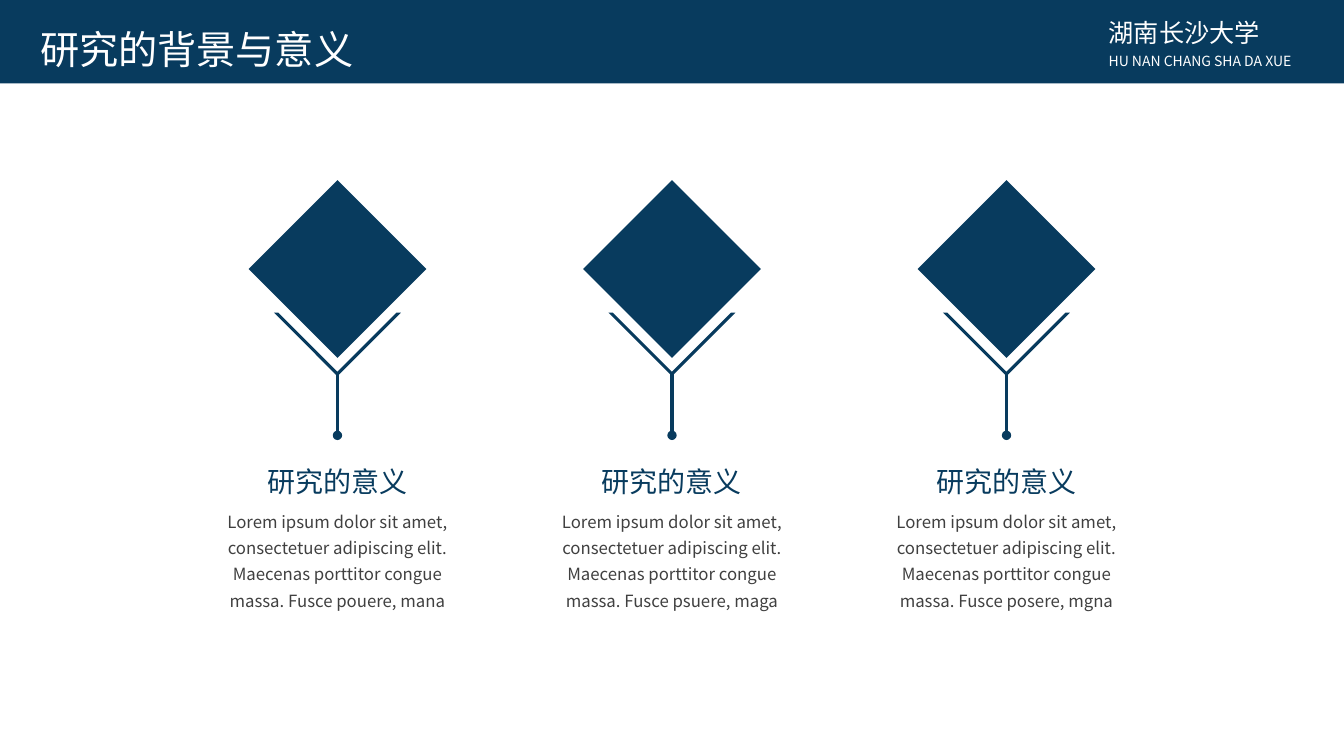
from dataclasses import dataclass

from lxml import etree
from pptx import Presentation
from pptx.dml.color import RGBColor
from pptx.enum.shapes import MSO_CONNECTOR, MSO_SHAPE
from pptx.enum.text import MSO_AUTO_SIZE, PP_ALIGN
from pptx.oxml.ns import qn
from pptx.util import Cm, Pt

RECT, DIAMOND = MSO_SHAPE.RECTANGLE, MSO_SHAPE.DIAMOND
STRAIGHT = MSO_CONNECTOR.STRAIGHT
LEFT, CENTER = PP_ALIGN.LEFT, PP_ALIGN.CENTER
GROW = MSO_AUTO_SIZE.SHAPE_TO_FIT_TEXT


@dataclass(frozen=True)
class Theme:
    navy: RGBColor = RGBColor(0x08, 0x3B, 0x5E)
    white: RGBColor = RGBColor(0xFF, 0xFF, 0xFF)
    grey: RGBColor = RGBColor(0x40, 0x40, 0x40)
    heading_font: str = "Noto Sans CJK JP"
    body_font: str = "Noto Sans CJK SC"
    title: float = 28
    heading: float = 20
    school: float = 18
    body: float = 12
    caption: float = 10
    stem: float = 2.25


@dataclass(frozen=True)
class Topic:
    heading: str
    body: str


THEME = Theme()
WIDTH, HEIGHT = 33.87, 19.05
PITCH = 8.43  # distance between topic centres
LOREM = ("Lorem ipsum dolor sit amet, consectetuer adipiscing elit. "
         "Maecenas porttitor congue massa. Fusce ")
TOPICS = [Topic("研究的意义", LOREM + ending)
          for ending in ("pouere, mana", "psuere, maga", "posere, mgna")]


def paint(sp) -> None:
    sp.shadow.inherit = False
    sp.fill.solid()
    sp.fill.fore_color.rgb = THEME.navy
    sp.line.fill.background()


def add_block(s, kind, x: float, y: float, w: float, h: float) -> None:
    paint(s.shapes.add_shape(kind, Cm(x), Cm(y), Cm(w), Cm(h)))


def add_text(s, text: str, x: float, y: float, w: float, h: float, *,
             size: float, color: RGBColor, font: str,
             align=LEFT, spacing: float = 1.0) -> None:
    tf = s.shapes.add_textbox(Cm(x), Cm(y), Cm(w), Cm(h)).text_frame
    tf.word_wrap = True
    tf.auto_size = GROW
    p = tf.paragraphs[0]
    p.alignment = align
    p.line_spacing = spacing
    r = p.add_run()
    r.text = text
    r.font.size = Pt(size)
    r.font.color.rgb = color
    r.font.name = font
    # East Asian characters take their font from a:ea
    etree.SubElement(r._r.get_or_add_rPr(), qn("a:ea"), typeface=font)


def add_chevron(s, cx: float, top: float, half: float, arm: float) -> None:
    inner = half - arm
    points = [(cx - inner, top), (cx, top + inner), (cx + inner, top),
              (cx + half, top), (cx, top + half)]
    outline = s.shapes.build_freeform(Cm(cx - half), Cm(top))
    outline.add_line_segments([(Cm(x), Cm(y)) for x, y in points], close=True)
    paint(outline.convert_to_shape())


def add_stem(s, cx: float, top: float, bottom: float) -> None:
    stem = s.shapes.add_connector(STRAIGHT, Cm(cx), Cm(top), Cm(cx), Cm(bottom))
    stem.line.color.rgb = THEME.navy
    stem.line.width = Pt(THEME.stem)
    etree.SubElement(stem.line._get_or_add_ln(), qn("a:tailEnd"), type="oval")
    etree.SubElement(stem._element.spPr, qn("a:effectLst"))


def add_header(s) -> None:
    add_block(s, RECT, 0, 0, WIDTH, 2.1)
    add_text(s, "研究的背景与意义", 0.76, 0.51, 9.35, 1.45, size=THEME.title,
             color=THEME.white, font=THEME.heading_font)
    add_text(s, "湖南长沙大学", 27.69, 0.3, 5.74, 1.02, size=THEME.school,
             color=THEME.white, font=THEME.heading_font)
    add_text(s, "HU NAN CHANG SHA DA XUE", 27.69, 1.19, 5.54, 0.7,
             size=THEME.caption, color=THEME.white, font=THEME.body_font)


def add_topic(s, topic: Topic, cx: float) -> None:
    # Marker
    add_block(s, DIAMOND, cx - 2.24, 4.54, 4.48, 4.48)
    add_chevron(s, cx, 7.88, 1.6, 0.11)
    add_stem(s, cx, 9.4, 10.97)
    # Wording
    add_text(s, topic.body, cx - 3.15, 12.62, 6.3, 2.87, size=THEME.body,
             color=THEME.grey, font=THEME.body_font, align=CENTER, spacing=1.3)
    add_text(s, topic.heading, cx - 2.59, 11.33, 5.18, 1.37, size=THEME.heading,
             color=THEME.navy, font=THEME.heading_font, align=CENTER, spacing=1.3)


def main() -> None:
    prs = Presentation()
    prs.slide_width, prs.slide_height = Cm(WIDTH), Cm(HEIGHT)
    s = prs.slides.add_slide(prs.slide_layouts[6])
    add_header(s)
    # Topics are spread evenly about the slide centre
    first = WIDTH / 2 - PITCH * (len(TOPICS) - 1) / 2
    for i, topic in enumerate(TOPICS):
        add_topic(s, topic, first + i * PITCH)
    prs.save("out.pptx")


if __name__ == "__main__":
    main()
